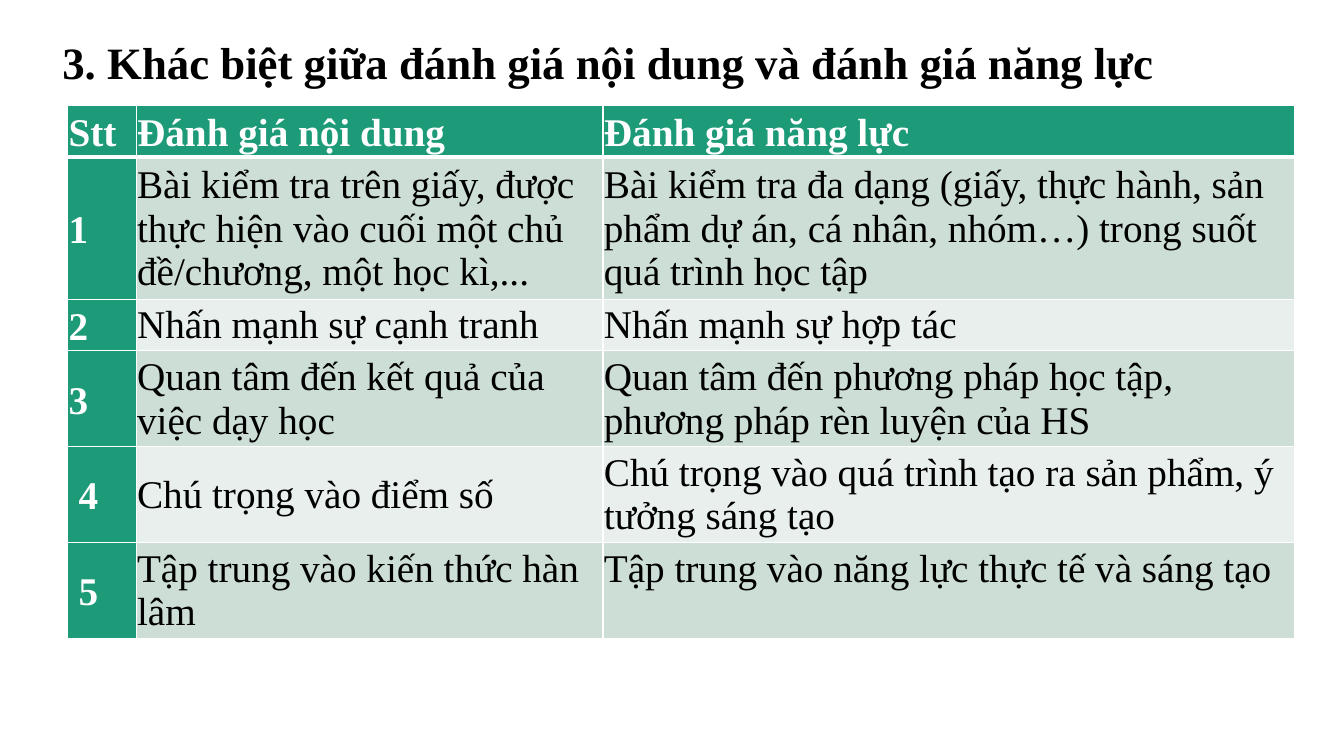
from lxml import etree
from pptx import Presentation
from pptx.dml.color import RGBColor
from pptx.enum.text import MSO_ANCHOR
from pptx.oxml.ns import qn
from pptx.util import Inches, Pt

TOP, MIDDLE = MSO_ANCHOR.TOP, MSO_ANCHOR.MIDDLE
BLACK = RGBColor(0x00, 0x00, 0x00)
WHITE = RGBColor(0xFF, 0xFF, 0xFF)
GREEN = RGBColor(0x1D, 0x9A, 0x78)
BANDS = RGBColor(0xCD, 0xDE, 0xD6), RGBColor(0xE8, 0xEF, 0xEC)

TITLE = "3. Khác biệt giữa đánh giá nội dung và đánh giá năng lực"
ROWS = [
    ("Stt", "Đánh giá nội dung", "Đánh giá năng lực"),
    ("1", "Bài kiểm tra trên giấy, được thực hiện vào cuối một chủ đề/chương, một học kì,...",
     "Bài kiểm tra đa dạng (giấy, thực hành, sản phẩm dự án, cá nhân, nhóm…) trong suốt quá trình học tập"),
    ("2", "Nhấn mạnh sự cạnh tranh", "Nhấn mạnh sự hợp tác"),
    ("3", "Quan tâm đến kết quả của việc dạy học",
     "Quan tâm đến phương pháp học tập, phương pháp rèn luyện của HS"),
    ("4", "Chú trọng vào điểm số",
     "Chú trọng vào quá trình tạo ra sản phẩm, ý tưởng sáng tạo"),
    ("5", "Tập trung vào kiến thức hàn lâm",
     "Tập trung vào năng lực thực tế và sáng tạo"),
]
WIDTHS = [0.68, 4.63, 6.86]
HEIGHTS = [0.5, 1.41, 0.51, 0.95, 0.95, 0.95]


class Deck:
    """Draws text and tables on one slide in a shared style."""

    def __init__(self):
        self.font = "Times New Roman"
        self.size = 28
        self.prs = Presentation()
        self.prs.slide_width = Inches(13.33)
        self.prs.slide_height = Inches(7.5)
        self.slide = self.prs.slides.add_slide(self.prs.slide_layouts[6])

    def text(self, frame, words, size, color, bold, spacing=None, after=None):
        para = frame.paragraphs[0]
        if spacing:
            para.line_spacing = spacing
        if after:
            para.space_after = Pt(after)
        run = para.add_run()
        run.text = words
        font = run.font
        font.name, font.size, font.bold = self.font, Pt(size), bold
        font.color.rgb = color

    def title(self, words, left, top, width, height):
        box = self.slide.shapes.add_textbox(
            Inches(left), Inches(top), Inches(width), Inches(height))
        frame = box.text_frame
        frame.word_wrap = True
        frame.vertical_anchor = MIDDLE
        self.text(frame, words, 32, BLACK, True, spacing=0.9)

    def edge(self, cell, side, width):
        line = etree.SubElement(cell._tc.get_or_add_tcPr(), qn("a:" + side),
                                w=str(Pt(width)))
        fill = etree.SubElement(line, qn("a:solidFill"))
        etree.SubElement(fill, qn("a:srgbClr"), val=str(WHITE))

    def cell(self, cell, words, row, col):
        head = row == 0 or col == 0
        for side in ("lnL", "lnR", "lnT", "lnB"):
            thick = (row, side) in ((0, "lnB"), (1, "lnT"))
            self.edge(cell, side, 3 if thick else 1)
        cell.fill.solid()
        cell.fill.fore_color.rgb = GREEN if head else BANDS[(row - 1) % 2]
        cell.margin_left = cell.margin_right = cell.margin_top = Inches(0.01)
        cell.margin_bottom = 0
        cell.vertical_anchor = MIDDLE
        if head:
            self.text(cell.text_frame, words, self.size, WHITE, True, 1.07, 8)
        else:
            self.text(cell.text_frame, words, self.size, BLACK, False)

    def table(self, rows, left, top, widths, heights):
        frame = self.slide.shapes.add_table(
            len(rows), len(widths), Inches(left), Inches(top),
            Inches(sum(widths)), Inches(sum(heights)))
        table = frame.table
        for col, width in zip(table.columns, widths):
            col.width = Inches(width)
        for row, height in zip(table.rows, heights):
            row.height = Inches(height)
        for i, row in enumerate(rows):
            for j, words in enumerate(row):
                self.cell(table.cell(i, j), words, i, j)
        return table


def main():
    deck = Deck()
    deck.title(TITLE, 0.52, 0.35, 12.17, 0.59)
    table = deck.table(ROWS, 0.67, 1.05, WIDTHS, HEIGHTS)
    for row in (4, 5):
        table.cell(row, 0).margin_left = Inches(0.11)
    last = table.cell(5, 2)
    last.vertical_anchor = TOP
    last.margin_top = Inches(0.05)
    deck.prs.save("out.pptx")


if __name__ == "__main__":
    main()
